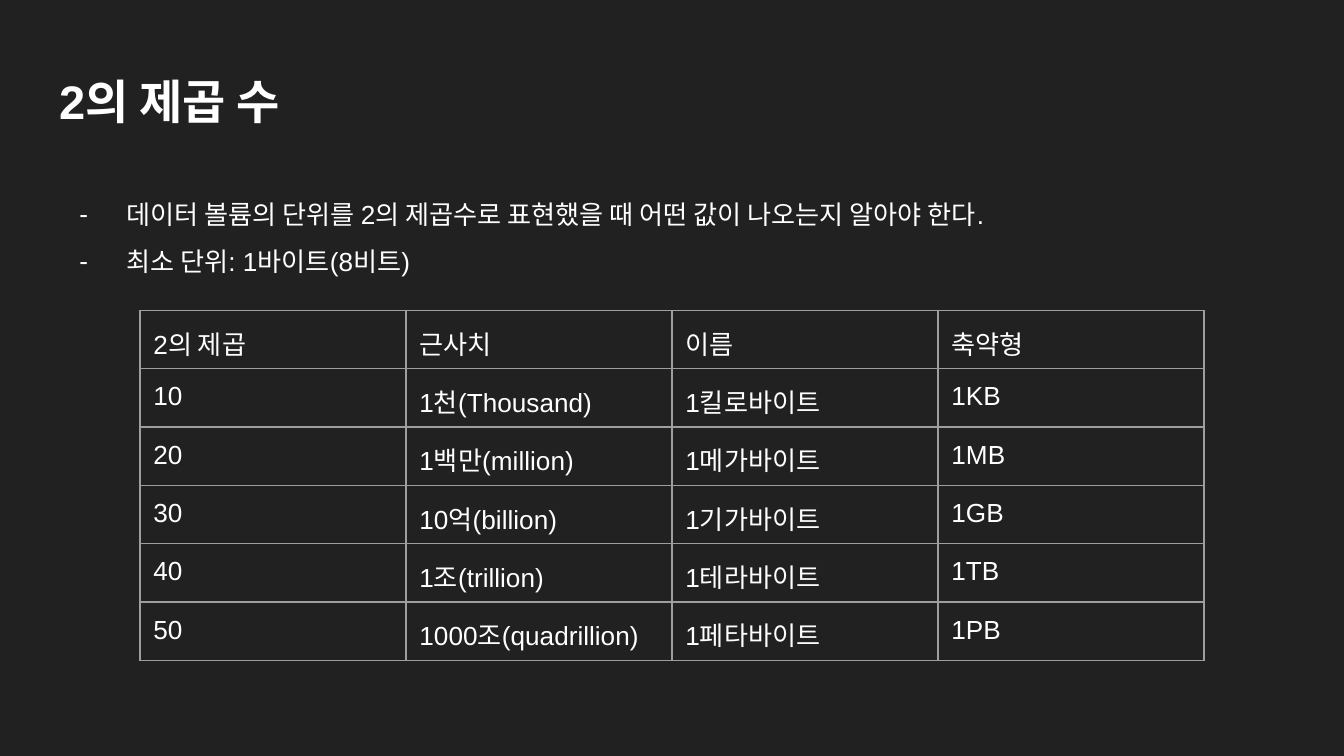
from lxml.etree import SubElement
from pptx import Presentation
from pptx.dml.color import RGBColor as RGB
from pptx.enum.text import MSO_ANCHOR as Anchor
from pptx.oxml.ns import qn
from pptx.util import Pt

COLORS = {"background": "212121", "text": "FFFFFF", "border": "9E9E9E"}
FONT = "Arial"
INSET = 7.2

TITLE = "2의 제곱 수"
POINTS = [
    "데이터 볼륨의 단위를 2의 제곱수로 표현했을 때 어떤 값이 나오는지 알아야 한다.",
    "최소 단위: 1바이트(8비트)",
]
UNITS = [
    ("2의 제곱", "근사치", "이름", "축약형"),
    ("10", "1천(Thousand)", "1킬로바이트", "1KB"),
    ("20", "1백만(million)", "1메가바이트", "1MB"),
    ("30", "10억(billion)", "1기가바이트", "1GB"),
    ("40", "1조(trillion)", "1테라바이트", "1TB"),
    ("50", "1000조(quadrillion)", "1페타바이트", "1PB"),
]


def write(paragraph, text, size=14, bold=False, color="text", spacing=1.0):
    run = paragraph.add_run()
    run.text = text
    run.font.name = FONT
    run.font.size = Pt(size)
    run.font.bold = bold
    run.font.color.rgb = RGB.from_string(COLORS[color])
    paragraph.line_spacing = spacing
    paragraph.space_before = paragraph.space_after = Pt(0)


def add_solid(parent, color):
    fill = SubElement(parent, qn("a:solidFill"))
    SubElement(fill, qn("a:srgbClr"), val=COLORS[color])


def set_insets(holder):
    holder.margin_left = holder.margin_right = Pt(INSET)
    holder.margin_top = holder.margin_bottom = Pt(INSET)


class SlideBuilder:
    def __init__(self, deck):
        self.slide = deck.slides.add_slide(deck.slide_layouts[5])
        background = self.slide.background.fill
        background.solid()
        background.fore_color.rgb = RGB.from_string(COLORS["background"])

    def frame(self, shape):
        frame = shape.text_frame
        frame.word_wrap = True
        frame.vertical_anchor = Anchor.TOP
        set_insets(frame)
        return frame

    def title(self, text, left, top, width, height):
        heading = self.slide.shapes.title
        heading.left, heading.top = Pt(left), Pt(top)
        heading.width, heading.height = Pt(width), Pt(height)
        line = self.frame(heading).paragraphs[0]
        line.alignment = 1
        write(line, text, size=25.2, bold=True, spacing=0.9)

    def bullets(self, points, left, top, width, height):
        box = self.slide.shapes.add_textbox(Pt(left), Pt(top), Pt(width), Pt(height))
        frame = self.frame(box)
        for index, point in enumerate(points):
            line = frame.add_paragraph() if index else frame.paragraphs[0]
            write(line, point, spacing=1.5)
            props = line._p.get_or_add_pPr()
            props.set("marL", str(Pt(36)))
            props.set("indent", str(Pt(-25)))
            add_solid(SubElement(props, qn("a:buClr")), "text")
            bullet_color = props.find(qn("a:buClr"))
            bullet_color.append(bullet_color[0][0])
            bullet_color.remove(bullet_color[0])
            SubElement(props, qn("a:buFont"), typeface=FONT)
            SubElement(props, qn("a:buChar"), char="-")

    def table(self, rows, left, top, column_width, row_height):
        columns = len(rows[0])
        grid = self.slide.shapes.add_table(
            len(rows), columns, Pt(left), Pt(top),
            Pt(column_width * columns), Pt(row_height * len(rows))).table
        grid.first_row = grid.horz_banding = False
        for column in grid.columns:
            column.width = Pt(column_width)
        for row, values in zip(grid.rows, rows):
            row.height = Pt(row_height)
            for cell, value in zip(row.cells, values):
                self.cell(cell, value)

    def cell(self, cell, value):
        set_insets(cell)
        cell.vertical_anchor = Anchor.TOP
        write(cell.text_frame.paragraphs[0], value)
        props = cell._tc.get_or_add_tcPr()
        for side in ("a:lnL", "a:lnR", "a:lnT", "a:lnB"):
            add_solid(SubElement(props, qn(side), w=str(Pt(0.75))), "border")
        cell.fill.background()


def main():
    deck = Presentation()
    deck.slide_width, deck.slide_height = Pt(720), Pt(405)
    page = SlideBuilder(deck)
    page.title(TITLE, 24.5, 35, 671, 45)
    page.bullets(POINTS, 24.5, 90.7, 671, 285)
    page.table(UNITS, 75, 166.3, 142.5, 30.2)
    deck.save("out.pptx")


if __name__ == "__main__":
    main()
